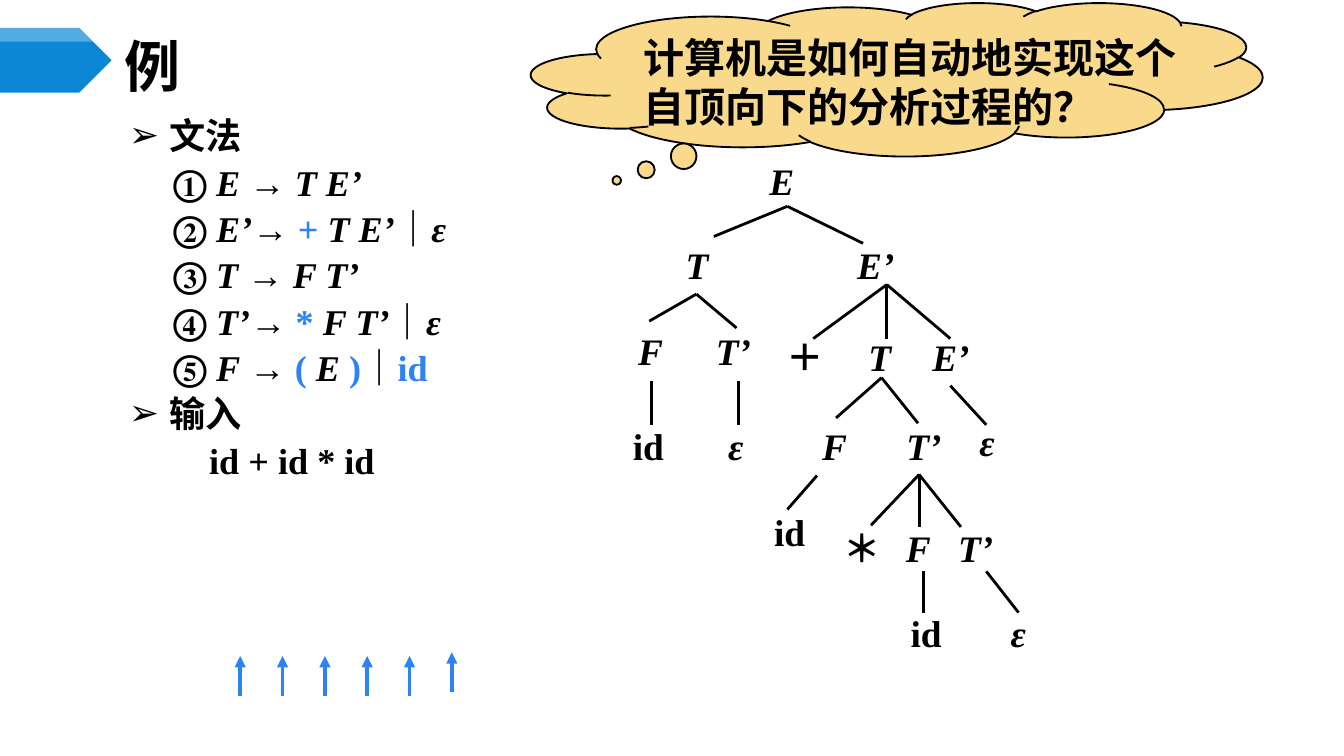
"""Build the slide on top-down parsing: a grammar, an input string and its parse tree."""
from dataclasses import dataclass

from lxml.etree import SubElement
from pptx import Presentation
from pptx.dml.color import RGBColor
from pptx.enum.shapes import MSO_CONNECTOR, MSO_SHAPE
from pptx.enum.text import MSO_ANCHOR, MSO_AUTO_SIZE, PP_ALIGN
from pptx.oxml.ns import qn
from pptx.util import Cm, Pt


@dataclass(frozen=True)
class Theme:
    ink: str = "000000"
    accent: str = "2D83F4"
    banner: str = "0B87D6"
    highlight: str = "FFFFFF"
    cloud: str = "F9D98C"
    latin: str = "Times New Roman"
    chinese: str = "Noto Sans CJK SC"
    title_size: float = 30
    body_size: float = 19.4
    node_size: float = 20
    question_size: float = 22
    edge_width: float = 1.5
    pointer_width: float = 2


THEME = Theme()
PLAIN, ITALIC, ACCENT, CHINESE = "plain", "italic", "accent", "chinese"

TITLE = "例"
QUESTION = "计算机是如何自动地实现这个自顶向下的分析过程的？"
HEADING, RULE, INPUT = (0.76, -0.76), (0.84, 0), (1.52, 0)
OUTLINE = [
    (HEADING, [("文法", CHINESE)]),
    (RULE, [("① ", PLAIN), ("E", ITALIC), (" → ", PLAIN), ("T E’", ITALIC)]),
    (RULE, [("② ", PLAIN), ("E’", ITALIC), ("→ ", PLAIN), ("+ ", ACCENT),
            ("T E’", ITALIC), ("｜", PLAIN), ("ε", ITALIC)]),
    (RULE, [("③ ", PLAIN), ("T", ITALIC), (" → ", PLAIN), ("F T’", ITALIC)]),
    (RULE, [("④ ", PLAIN), ("T’", ITALIC), ("→ ", PLAIN), ("* ", ACCENT),
            ("F T’", ITALIC), ("｜", PLAIN), ("ε", ITALIC)]),
    (RULE, [("⑤ ", PLAIN), ("F", ITALIC), (" → ", PLAIN), ("( ", ACCENT),
            ("E ", ITALIC), (")", ACCENT), ("｜", PLAIN), ("id", ACCENT)]),
    (HEADING, [("输入", CHINESE)]),
    (INPUT, [("id + id * id", PLAIN)]),
]

TREE_ROWS = [
    (2.86, [("E", 14.29)]),
    (4.45, [("T", 12.71), ("E’", 15.95)]),
    (6.07, [("F", 11.81), ("T’", 13.28)]),
    (6.19, [("＋", 14.61), ("T", 16.16), ("E’", 17.37)]),
    (7.88, [("id", 11.71), ("ε", 13.51), ("F", 15.29), ("T’", 16.88)]),
    (7.8, [("ε", 18.26)]),
    (9.5, [("id", 14.38)]),
    (9.81, [("＊", 15.7), ("F", 16.87), ("T’", 17.86)]),
    (11.4, [("id", 16.96), ("ε", 18.85)]),
]
TERMINALS = {"id", "＋", "＊"}
BRANCHES = [
    ((14.88, 3.9), [(13.49, 4.47), (16.31, 4.6)]),
    ((13.16, 5.56), [(12.27, 6.07), (13.92, 6.2)]),
    ((16.76, 5.38), [(15.37, 6.4), (16.76, 6.4), (17.96, 6.4)]),
    ((12.32, 7.21), [(12.32, 8.03)]),
    ((13.96, 7.21), [(13.96, 8.03)]),
    ((16.66, 7.14), [(15.8, 7.9), (17.35, 8)]),
    ((17.96, 7.29), [(18.64, 8.03)]),
    ((15.44, 8.99), [(14.88, 9.63)]),
    ((17.37, 8.97), [(16.46, 9.93), (17.37, 9.96), (18.16, 9.96)]),
    ((17.46, 10.8), [(17.46, 11.58)]),
    ((18.64, 10.8), [(19.25, 11.58)]),
]
POINTER_BOTTOMS = [13.15] * 5 + [13.08]
POINTER_LEFT, POINTER_STEP, POINTER_LENGTH = 4.54, 0.8, 0.75

BANNER = [(0, 0.53), (1.5, 0.53), (2.11, 1.14), (1.5, 1.75), (0, 1.75)]
BANNER_BAND = [(0, 0.53), (1.5, 0.53), (1.76, 0.79), (0, 0.79)]


def color(value):
    return RGBColor.from_string(value)


def place(shape, left, top, width, height):
    shape.left, shape.top, shape.width, shape.height = map(Cm, (left, top, width, height))


def add_run(paragraph, text, size, style):
    run = paragraph.add_run()
    run.text = text
    font = run.font
    font.size, font.bold, font.italic = Pt(size), True, style == ITALIC
    font.color.rgb = color(THEME.accent if style == ACCENT else THEME.ink)
    font.name = THEME.chinese if style == CHINESE else THEME.latin
    SubElement(font._element, qn("a:ea"), typeface=THEME.chinese)


def add_label(slide, text, box, size, style):
    label = slide.shapes.add_textbox(*map(Cm, box))
    label.text_frame.word_wrap = True
    add_run(label.text_frame.paragraphs[0], text, size, style)


def add_line(slide, start, end, ink, width, arrow=False):
    line = slide.shapes.add_connector(MSO_CONNECTOR.STRAIGHT, *map(Cm, start + end))
    line.line.color.rgb = color(ink)
    line.line.width = Pt(width)
    if arrow:
        SubElement(line.line._get_or_add_ln(), qn("a:tailEnd"), type="triangle")
    SubElement(line._element.spPr, qn("a:effectLst"))


def add_polygon(slide, points, fill):
    corners = [(Cm(x), Cm(y)) for x, y in points]
    builder = slide.shapes.build_freeform(*corners[0])
    builder.add_line_segments(corners[1:], close=True)
    polygon = builder.convert_to_shape()
    polygon.shadow.inherit = False
    polygon.fill.solid()
    polygon.fill.fore_color.rgb = color(fill)
    polygon.line.fill.background()
    return polygon


def add_title(slide):
    title = slide.shapes.title
    place(title, 2.1, 0.74, 22.02, 0.99)
    title.text_frame.auto_size = MSO_AUTO_SIZE.NONE
    title.text_frame.vertical_anchor = MSO_ANCHOR.MIDDLE
    paragraph = title.text_frame.paragraphs[0]
    paragraph.alignment = PP_ALIGN.LEFT
    add_run(paragraph, TITLE, THEME.title_size, CHINESE)


def add_outline(slide):
    body = slide.placeholders[1]
    place(body, 2.18, 2.18, 16.61, 9.02)
    frame = body.text_frame
    frame.auto_size = MSO_AUTO_SIZE.NONE
    for index, (indents, runs) in enumerate(OUTLINE):
        paragraph = frame.add_paragraph() if index else frame.paragraphs[0]
        paragraph.level = 0 if indents == HEADING else 1
        paragraph.line_spacing = 0.8
        paragraph.space_before = Pt(6.2 if index else 0)
        properties = paragraph._p.get_or_add_pPr()
        for name, indent in zip(("marL", "indent"), indents):
            properties.set(name, str(Cm(indent)))
        if indents == HEADING:
            bullet_color = SubElement(properties, qn("a:buClr"))
            SubElement(bullet_color, qn("a:srgbClr"), val=THEME.ink)
            SubElement(properties, qn("a:buChar"), char="➢")
        else:
            SubElement(properties, qn("a:buNone"))
        for text, style in runs:
            add_run(paragraph, text, THEME.body_size, style)


def add_tree(slide):
    for top, nodes in TREE_ROWS:
        for symbol, left in nodes:
            style = PLAIN if symbol in TERMINALS else ITALIC
            add_label(slide, symbol, (left, top, 1.3, 1.12), THEME.node_size, style)
    for parent, children in BRANCHES:
        for child in children:
            add_line(slide, parent, child, THEME.ink, THEME.edge_width)


def add_pointers(slide):
    for index, bottom in enumerate(POINTER_BOTTOMS):
        x = POINTER_LEFT + index * POINTER_STEP
        add_line(slide, (x, bottom), (x, bottom - POINTER_LENGTH),
                 THEME.accent, THEME.pointer_width, arrow=True)


def add_banner(slide):
    add_polygon(slide, BANNER, THEME.banner)
    band = add_polygon(slide, BANNER_BAND, THEME.highlight)
    SubElement(band._element.spPr.find(".//" + qn("a:srgbClr")), qn("a:alpha"), val="30000")


def add_question(slide):
    box = map(Cm, (10.04, 0.05, 13.82, 2.9))
    cloud = slide.shapes.add_shape(MSO_SHAPE.CLOUD_CALLOUT, *box)
    cloud.adjustments[0], cloud.adjustments[1] = -0.383, 0.659
    cloud.shadow.inherit = False
    cloud.fill.solid()
    cloud.fill.fore_color.rgb = color(THEME.cloud)
    cloud.line.color.rgb = color(THEME.ink)
    cloud.line.width = Pt(1)
    add_label(slide, QUESTION, (11.92, 0.48, 11.13, 3.05), THEME.question_size, CHINESE)


def main():
    deck = Presentation()
    deck.slide_width, deck.slide_height = Cm(25.4), Cm(14.29)
    slide = deck.slides.add_slide(deck.slide_layouts[1])
    for add_part in (add_outline, add_tree, add_pointers, add_title, add_banner, add_question):
        add_part(slide)
    deck.save("out.pptx")


if __name__ == "__main__":
    main()
